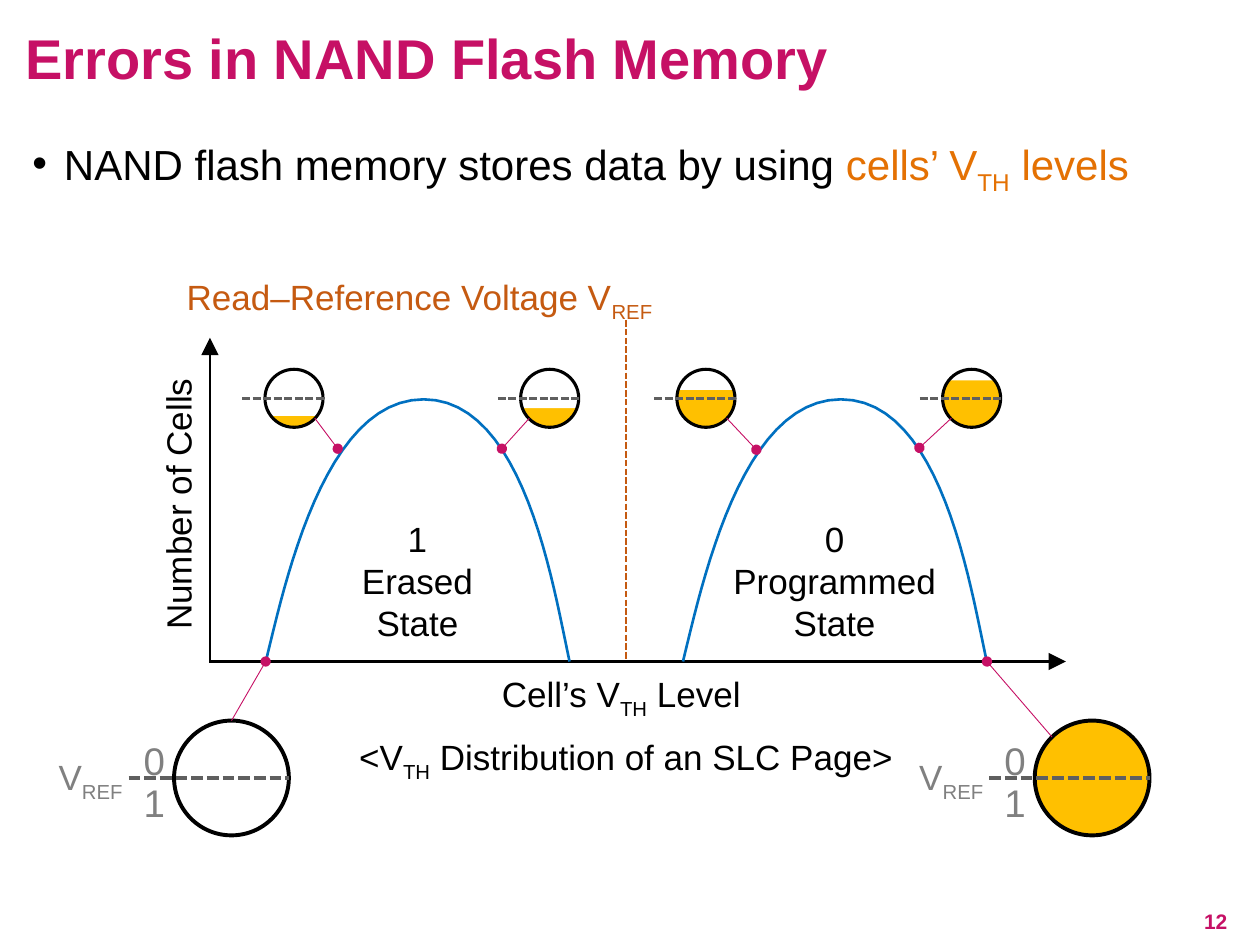
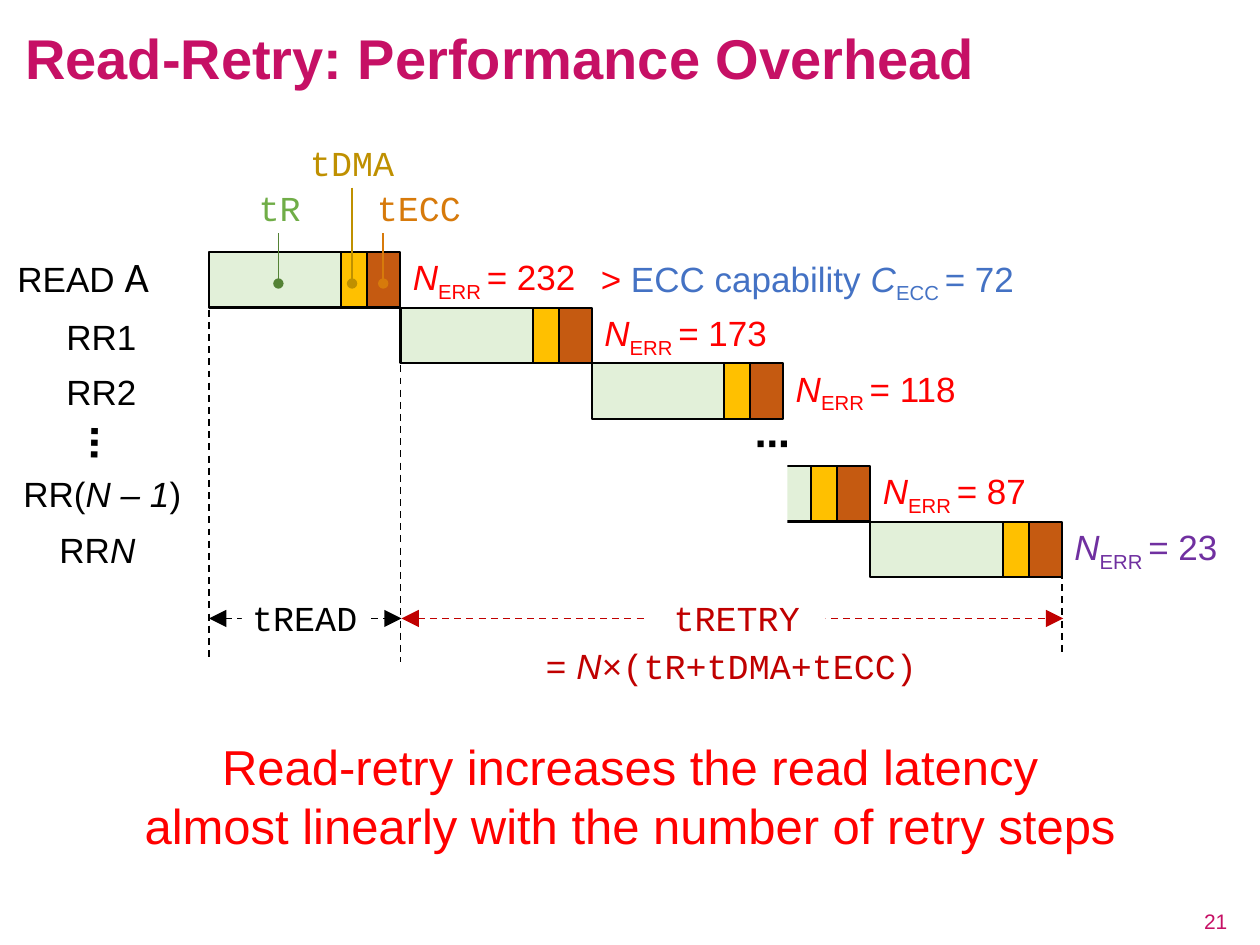
from dataclasses import dataclass
from typing import Optional

from lxml import etree
from pptx import Presentation
from pptx.dml.color import RGBColor
from pptx.enum.dml import MSO_LINE
from pptx.enum.shapes import MSO_CONNECTOR, MSO_SHAPE
from pptx.enum.text import MSO_ANCHOR as Anchor, PP_ALIGN as Align
from pptx.oxml.ns import qn
from pptx.util import Pt

MAGENTA = RGBColor(0xC6, 0x10, 0x65)
BLACK = RGBColor(0, 0, 0)
WHITE = RGBColor(255, 255, 255)
GRAY = RGBColor(0x80, 0x80, 0x80)
DARK_GRAY = RGBColor(0x5F, 0x5F, 0x5F)
ORANGE = RGBColor(0xE4, 0x71, 0x03)
ECC_ORANGE = RGBColor(0xD7, 0x7A, 0x0B)
RUST = RGBColor(0xC5, 0x5A, 0x11)
AMBER = RGBColor(0xFF, 0xC0, 0x00)
GOLD = RGBColor(0xBF, 0x90, 0x00)
CURVE_BLUE = RGBColor(0x00, 0x70, 0xC0)
TEXT_BLUE = RGBColor(0x44, 0x72, 0xC4)
PALE_GREEN = RGBColor(0xE2, 0xF0, 0xD9)
GREEN = RGBColor(0x70, 0xAD, 0x47)
DARK_GREEN = RGBColor(0x54, 0x82, 0x35)
RED = RGBColor(0xFF, 0, 0)
DARK_RED = RGBColor(0xC0, 0, 0)
PURPLE = RGBColor(0x70, 0x30, 0xA0)

SANS, MONO, SYMBOL = "Arial", "Courier New", "Calibri"
SHORT_DASH, DASH = MSO_LINE.SQUARE_DOT, MSO_LINE.DASH
NO_INSET = (0, 0, 0, 0)
LABEL_INSET = (5.8, 0, 0, 0)
BOX_INSET = (7.2, 3.6, 7.2, 3.6)
HEAD_SIZE = {"triangle": "lg", "oval": "med"}


@dataclass
class Span:
    """A piece of a line that differs from the rest of its paragraph."""
    text: str
    color: Optional[RGBColor] = None
    italic: Optional[bool] = None
    font: Optional[str] = None
    size: Optional[float] = None
    subscript: bool = False


def sub(text, color=None):
    return Span(text, color=color, subscript=True)


class Painter:
    def __init__(self, deck):
        self.deck = deck
        self.shapes = None

    def start_slide(self, title, number, bold_number=False):
        self.shapes = self.deck.slides.add_slide(self.deck.slide_layouts[6]).shapes
        self.text(0, 0, 720, 64, [title], size=32, color=MAGENTA, bold=True,
                  align=Align.LEFT, inset=(14.4, 5.8, 14.4, 0), spacing=0.9)
        self.text(547.2, 513, 161.3, 27, [number], size=12, color=MAGENTA,
                  bold=bold_number, align=Align.RIGHT, inset=BOX_INSET)

    def text(self, left, top, width, height, lines, size=20, color=BLACK, font=SANS,
             bold=False, align=Align.CENTER, anchor=Anchor.MIDDLE, inset=NO_INSET,
             spacing=None, bullet=None, rotation=0, fill=None):
        """Each line is a string or a list of strings and spans."""
        box = self.shapes.add_textbox(Pt(left), Pt(top), Pt(width), Pt(height))
        box.rotation = rotation
        if fill is not None:
            box.fill.solid()
            box.fill.fore_color.rgb = fill
        frame = box.text_frame
        frame.word_wrap = True
        frame.vertical_anchor = anchor
        (frame.margin_left, frame.margin_top,
         frame.margin_right, frame.margin_bottom) = map(Pt, inset)
        for index, line in enumerate(lines):
            para = frame.paragraphs[0] if index == 0 else frame.add_paragraph()
            para.alignment = align
            if spacing:
                para.line_spacing = spacing
            if bullet:
                self.add_bullet(para, bullet)
            para.font.name, para.font.size = font, Pt(size)
            para.font.bold = bold
            para.font.color.rgb = color
            for span in [line] if isinstance(line, str) else line:
                self.add_span(para, span)

    @staticmethod
    def add_bullet(para, character):
        properties = para._p.get_or_add_pPr()
        properties.set("marL", str(Pt(18)))
        properties.set("indent", str(-Pt(18)))
        etree.SubElement(properties, qn("a:buFont"), typeface=SANS)
        etree.SubElement(properties, qn("a:buChar"), char=character)

    @staticmethod
    def add_span(para, span):
        run = para.add_run()
        if isinstance(span, str):
            run.text = span
            return
        run.text = span.text
        if span.color is not None:
            run.font.color.rgb = span.color
        if span.italic:
            run.font.italic = True
        if span.font:
            run.font.name = span.font
        if span.size:
            run.font.size = Pt(span.size)
        if span.subscript:
            run._r.get_or_add_rPr().set("baseline", "-25000")

    def shape(self, kind, left, top, width, height, fill=None, line=None, weight=1.25):
        shape = self.shapes.add_shape(kind, Pt(left), Pt(top), Pt(width), Pt(height))
        self.style(shape, fill, line, weight)

    def rectangle(self, *place, **look):
        self.shape(MSO_SHAPE.RECTANGLE, *place, **look)

    def circle(self, left, top, size, **look):
        self.shape(MSO_SHAPE.OVAL, left, top, size, size, **look)

    @staticmethod
    def style(shape, fill, line, weight):
        shape.shadow.inherit = False
        if fill is None:
            shape.fill.background()
        else:
            shape.fill.solid()
            shape.fill.fore_color.rgb = fill
        if line is None:
            shape.line.fill.background()
        else:
            shape.line.color.rgb = line
            shape.line.width = Pt(weight)

    def line(self, x1, y1, x2, y2, color, weight=1, dash=None, head=None, tail=None):
        connector = self.shapes.add_connector(
            MSO_CONNECTOR.STRAIGHT, Pt(x1), Pt(y1), Pt(x2), Pt(y2))
        connector.line.color.rgb = color
        connector.line.width = Pt(weight)
        if dash:
            connector.line.dash_style = dash
        outline = connector.line._get_or_add_ln()
        for tag, kind in (("a:headEnd", head), ("a:tailEnd", tail)):
            if kind:
                etree.SubElement(outline, qn(tag), type=kind,
                                 w=HEAD_SIZE[kind], len=HEAD_SIZE[kind])
        etree.SubElement(connector._element.spPr, qn("a:effectLst"))

    def curve(self, points, color, weight):
        outline = self.shapes.build_freeform(*map(Pt, points[0]))
        outline.add_line_segments([(Pt(x), Pt(y)) for x, y in points[1:]], close=False)
        self.style(outline.convert_to_shape(), None, color, weight)


def bezier(start, control1, control2, end, steps=24):
    """Points on a cubic curve, without its start."""
    for step in range(1, steps + 1):
        t = step / steps
        weights = ((1 - t) ** 3, 3 * t * (1 - t) ** 2, 3 * t * t * (1 - t), t ** 3)
        yield tuple(sum(w * p for w, p in zip(weights, axis))
                    for axis in zip(start, control1, control2, end))


AXIS_Y = 378


def draw_distribution(painter, left):
    hump = [(left + dx, AXIS_Y - rise) for dx, rise in (
        (0, 0), (10.8, 43.9), (33.1, 149.8), (90.2, 149.8),
        (147.7, 149.8), (164.2, 43.2), (173.6, 0))]
    points = [hump[0], *bezier(*hump[:4]), *bezier(*hump[3:])]
    painter.curve(points, CURVE_BLUE, 1.5)


def draw_small_cell(painter, left, charge_top, tip):
    """A cell filled up to charge_top, with a pointer to its place on the curve."""
    top, size = 211, 33.2
    painter.circle(left, top, size, fill=AMBER)
    painter.rectangle(left - 2, top - 2, size + 4, charge_top - top + 2, fill=WHITE)
    painter.circle(left, top, size, line=BLACK, weight=1.75)
    painter.line(left - 13, 227.6, left + size + 0.5, 227.6, DARK_GRAY, 1.5, SHORT_DASH)
    start = left + (28.5 if tip[0] > left else 5)
    painter.line(start, 239, *tip, MAGENTA, 0.5, tail="oval")


def draw_large_cell(painter, left, fill, pointer):
    top, size = 411.8, 65.6
    painter.text(left - 79, 432, 62.6, 24.5, [["V", sub("REF")]],
                 color=GRAY, anchor=Anchor.TOP)
    painter.circle(left, top, size, fill=fill, line=BLACK, weight=2.25)
    middle = top + size / 2
    painter.line(left - 26, middle, left + size, middle, DARK_GRAY, 2.25, SHORT_DASH)
    for digit, center in (("1", 458.4), ("0", 434.6)):
        painter.text(left - 39.8, center - 12, 57, 24, [digit], size=22, color=GRAY)
    painter.line(*pointer, MAGENTA, 0.5, tail="oval")


def build_errors_slide(painter):
    painter.start_slide("Errors in NAND Flash Memory", "12", bold_number=True)
    painter.text(11.5, 76.3, 696.2, 424, [[
        "NAND flash memory stores data by using ", Span("cells’ V", ORANGE),
        sub("TH", ORANGE), Span(" levels", ORANGE)]], size=24, align=Align.LEFT,
        anchor=Anchor.TOP, inset=BOX_INSET, spacing=0.9, bullet="•")

    painter.text(-24.5, 275.8, 252, 24.5, ["Number of Cells"], rotation=270)
    painter.line(120, AXIS_Y, 120, 193, BLACK, 1.5, tail="triangle")
    painter.line(357.8, 183, 357.8, AXIS_Y, RUST, 1.25, SHORT_DASH)
    painter.line(119.5, AXIS_Y, 609.1, AXIS_Y, BLACK, 1.5, tail="triangle")
    for left, state in ((151.9, ("1", "Erased", "State")),
                        (390.3, ("0", "Programmed", "State"))):
        draw_distribution(painter, left)
        painter.text(left + 14.3, 295.2, 144.7, 72.7, state)

    painter.text(198.7, 385.9, 318.2, 24.5, [["Cell’s V", sub("TH"), " Level "]])
    painter.text(80.6, 159.1, 318.2, 24.5,
                 [["Read–Reference Voltage V", sub("REF")]], color=RUST)
    painter.text(198.7, 421.9, 318.2, 24.5,
                 [["<V", sub("TH"), " Distribution of an SLC Page>"]])

    draw_large_cell(painter, 99.5, WHITE, (132.3, 411.8, 151.8, AXIS_Y))
    draw_large_cell(painter, 591.3, AMBER, (601.2, 421.2, 564, AXIS_Y))
    for left, charge_top, tip in ((151.4, 237.6, (193, 256.4)),
                                  (297.5, 233.3, (286.8, 256.4)),
                                  (386.8, 222.8, (432.2, 257)),
                                  (538.6, 217.4, (525.4, 255.9))):
        draw_small_cell(painter, left, charge_top, tip)


BAR_LEFT, BAR_TOP = 119.4, 144
BAR_WIDTH, BAR_HEIGHT = 109.4, 31.8
BAR_PARTS = ((75.6, PALE_GREEN), (14.9, AMBER), (18.9, RUST))
RETRY_TOP = 266.3


def draw_read(painter, left, top, errors, color=RED):
    """One read: its tR, tDMA and tECC parts and the error count after them."""
    for width, fill in BAR_PARTS:
        painter.rectangle(left, top, width, BAR_HEIGHT, fill=fill, line=BLACK)
        left += width
    painter.text(left, top, 120, BAR_HEIGHT,
                 [[Span("N", italic=True), sub("ERR "), f"= {errors}"]],
                 color=color, align=Align.LEFT, inset=BOX_INSET)


def build_retry_slide(painter):
    painter.start_slide("Read-Retry: Performance Overhead", "21")

    first_retry = BAR_LEFT + BAR_WIDTH
    last_retry = BAR_LEFT + 3.455 * BAR_WIDTH
    end = last_retry + BAR_WIDTH
    for x, top, bottom in ((BAR_LEFT, 177, 378), (first_retry, 181, 378),
                           (end, 313, 375)):
        painter.line(x, top, x, bottom, BLACK, dash=DASH)

    for step, errors in enumerate((232, 173, 118)):
        draw_read(painter, BAR_LEFT + step * BAR_WIDTH,
                  BAR_TOP + step * BAR_HEIGHT, errors)
    draw_read(painter, last_retry - BAR_WIDTH, RETRY_TOP, 87)
    painter.rectangle(385, 263, 65, 38.5, fill=WHITE)
    draw_read(painter, last_retry, RETRY_TOP + BAR_HEIGHT, 23, PURPLE)
    painter.text(313.8, 144.7, 295.2, 31.7, [[
        Span("> ", RED), "ECC capability ", Span("C", italic=True),
        sub("ECC "), "= 72"]], color=TEXT_BLUE, inset=BOX_INSET)

    for left, top, width, line in (
            (-21.6, 145.4, 132.5, ["READ ", Span("A", font=SYMBOL, size=24)]),
            (-9.4, 180, 128.9, "RR1"),
            (-9.4, 211.7, 128.9, "RR2"),
            (-48.2, 270, 207.4, ["RR(", Span("N – 1", italic=True), ")"]),
            (-48.2, 301.7, 207.4, ["RR", Span("N ", italic=True)])):
        painter.text(left, top, width, 24.5, [line], inset=LABEL_INSET)
    for left, top, width, height, rotation in ((39.6, 229, 31, 48.2, 91),
                                               (427, 237.6, 28.8, 31, 0)):
        painter.text(left, top, width, height, ["⋯"], font=SYMBOL, bold=True,
                     rotation=rotation)

    for name, center, top, text_color, x, line_color in (
            ("tR", 159.8, 106.6, GREEN, 159.1, DARK_GREEN),
            ("tDMA", 201.2, 80.6, GOLD, 201.2, GOLD),
            ("tECC", 239.4, 106.6, ECC_ORANGE, 219, ECC_ORANGE)):
        painter.text(center - 36, top, 72, 24.5, [name], color=text_color, font=MONO)
        painter.line(x, top + 26.6, x, 162, line_color, tail="oval")

    for name, left, right, center, width, color in (
            ("tREAD", BAR_LEFT, first_retry + 0.7, 174.2, 72, BLACK),
            ("tRETRY", first_retry + 0.7, end + 0.8, 421, 101.5, DARK_RED)):
        painter.line(left, 353.4, right, 353.4, color, dash=DASH,
                     head="triangle", tail="triangle")
        painter.text(center - width / 2, 340.6, width, 24.5, [name],
                     color=color, font=MONO, fill=WHITE)
    painter.text(285.1, 367.9, 265.7, 24.5, [[
        Span("=", italic=True), Span(" N", italic=True, font=SANS),
        "×(tR+tDMA+tECC)"]], color=DARK_RED, font=MONO)

    painter.text(41, 416.9, 638, 74.9, [
        "Read-retry increases the read latency",
        "almost linearly with the number of retry steps"],
        size=28, color=RED, inset=BOX_INSET)


def main():
    deck = Presentation()
    deck.slide_width, deck.slide_height = Pt(720), Pt(540)
    painter = Painter(deck)
    build_errors_slide(painter)
    build_retry_slide(painter)
    deck.save("out.pptx")


if __name__ == "__main__":
    main()
